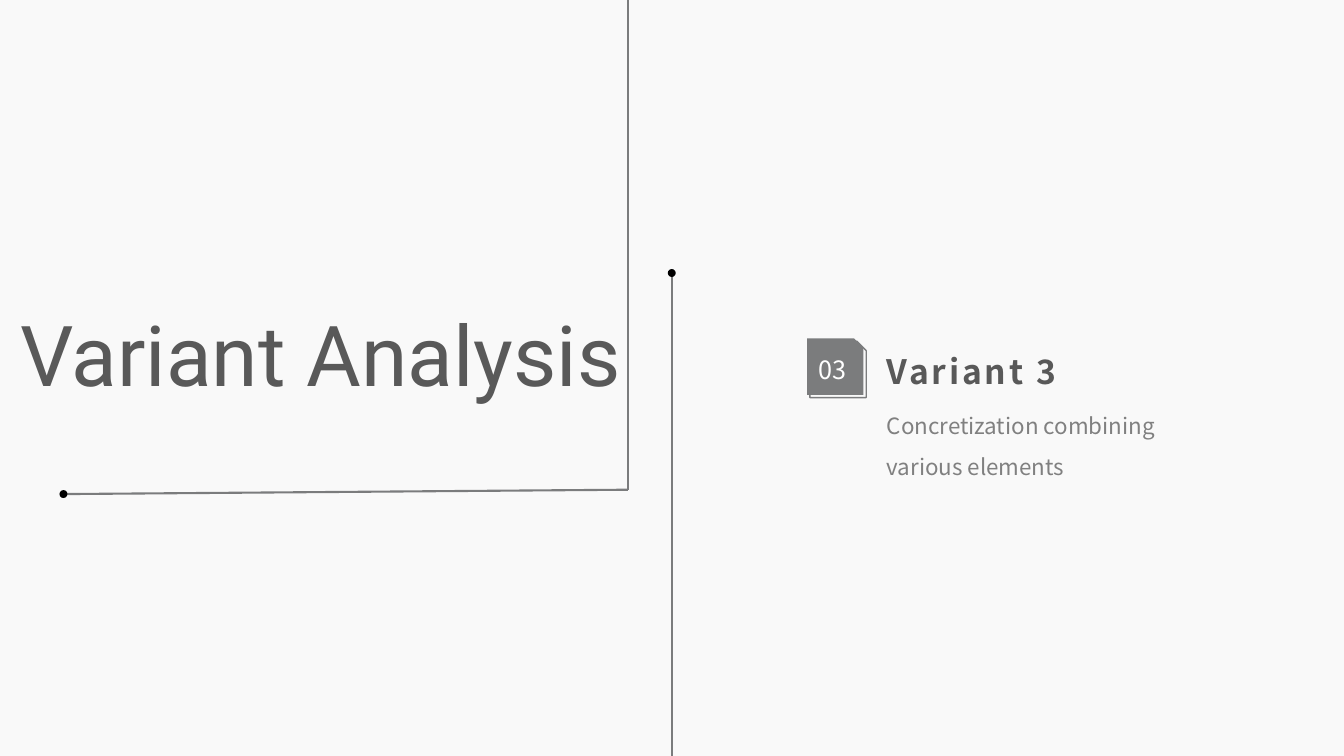
import pptx
import pptx.dml.color
import pptx.enum.shapes
import pptx.enum.text
import pptx.oxml.ns
import pptx.util
from lxml import etree

Cm = pptx.util.Cm
Pt = pptx.util.Pt
Kind = pptx.enum.shapes.MSO_SHAPE
Align = pptx.enum.text.PP_ALIGN
Anchor = pptx.enum.text.MSO_ANCHOR

HUES = {"back": "F9F9F9", "head": "595959", "line": "7B7C7D",
        "body": "808080", "dot": "000000", "white": "FFFFFF"}
SANS = "Noto Sans CJK SC"
DOT = 0.2


def hue(name):
    """Return a named colour."""
    return pptx.dml.color.RGBColor.from_string(HUES[name])


def write(shape, text, size, tint, face=SANS, align=Align.LEFT,
          anchor=Anchor.TOP, bold=False, gap=0, lead=1.0):
    """Fill a shape with one run of styled text."""
    frame = shape.text_frame
    frame.word_wrap = True
    frame.auto_size = pptx.enum.text.MSO_AUTO_SIZE.NONE
    frame.vertical_anchor = anchor
    para = frame.paragraphs[0]
    para.alignment = align
    para.line_spacing = lead
    run = para.add_run()
    run.text = text
    run.font.size = Pt(size)
    run.font.name = face
    run.font.bold = bold
    run.font.color.rgb = hue(tint)
    if gap:
        run.font._element.set("spc", str(gap * 100))


def label(slide, box, *words, **style):
    """Add a text box."""
    write(slide.shapes.add_textbox(*map(Cm, box)), *words, **style)


def rule(slide, start, end):
    """Draw a straight grey line between two points."""
    line = slide.shapes.add_connector(
        pptx.enum.shapes.MSO_CONNECTOR.STRAIGHT, *map(Cm, start + end))
    line.line.color.rgb = hue("line")
    line.line.width = Pt(1.5)
    etree.SubElement(line._element.spPr, pptx.oxml.ns.qn("a:effectLst"))


def form(slide, kind, box, fill=None, edge=None):
    """Add a flat preset shape with a fill or an outline."""
    shape = slide.shapes.add_shape(kind, *map(Cm, box))
    shape.shadow.inherit = False
    if fill:
        shape.fill.solid()
        shape.fill.fore_color.rgb = hue(fill)
    else:
        shape.fill.background()
    if edge:
        shape.line.color.rgb = hue(edge)
        shape.line.width = Pt(1)
    else:
        shape.line.fill.background()
    return shape


def dot(slide, x, y):
    """Mark a line end with a black dot."""
    form(slide, Kind.OVAL, (x - DOT / 2, y - DOT / 2, DOT, DOT), fill="dot")


def badge(slide, x, y, text):
    """Add a numbered card with an offset outline behind it."""
    side, shift = 1.42, 0.07
    form(slide, Kind.SNIP_1_RECTANGLE,
         (x + shift, y + shift, side, side), edge="line")
    card = form(slide, Kind.SNIP_1_RECTANGLE, (x, y, side, side), fill="line")
    write(card, text, 18, "white", align=Align.CENTER, anchor=Anchor.MIDDLE)


def main():
    """Build the section slide."""
    deck = pptx.Presentation()
    deck.slide_width, deck.slide_height = Cm(33.87), Cm(19.05)
    slide = deck.slides.add_slide(deck.slide_layouts[5])
    slide.background.fill.solid()
    slide.background.fill.fore_color.rgb = hue("back")

    title = slide.shapes.title
    title.left, title.top, title.width, title.height = map(
        Cm, (-3.07, 7.49, 22.3, 2.79))
    write(title, "Variant Analysis", 60, "head",
          face="Roboto", align=Align.CENTER)

    corner, tail, head = (15.82, 12.34), (1.6, 12.45), (16.93, 6.88)
    rule(slide, corner, tail)
    rule(slide, corner, (corner[0], 0))
    rule(slide, (head[0], 19.05), head)
    dot(slide, *tail)
    dot(slide, *head)

    badge(slide, 20.34, 8.53, "03")
    label(slide, (22.1, 8.71, 5.82, 1.27), "Variant 3", 24, "head",
          bold=True, gap=2)
    label(slide, (22.1, 9.93, 8.84, 2.29),
          "Concretization combining various elements", 16, "body", lead=1.5)
    deck.save("out.pptx")


if __name__ == "__main__":
    main()
